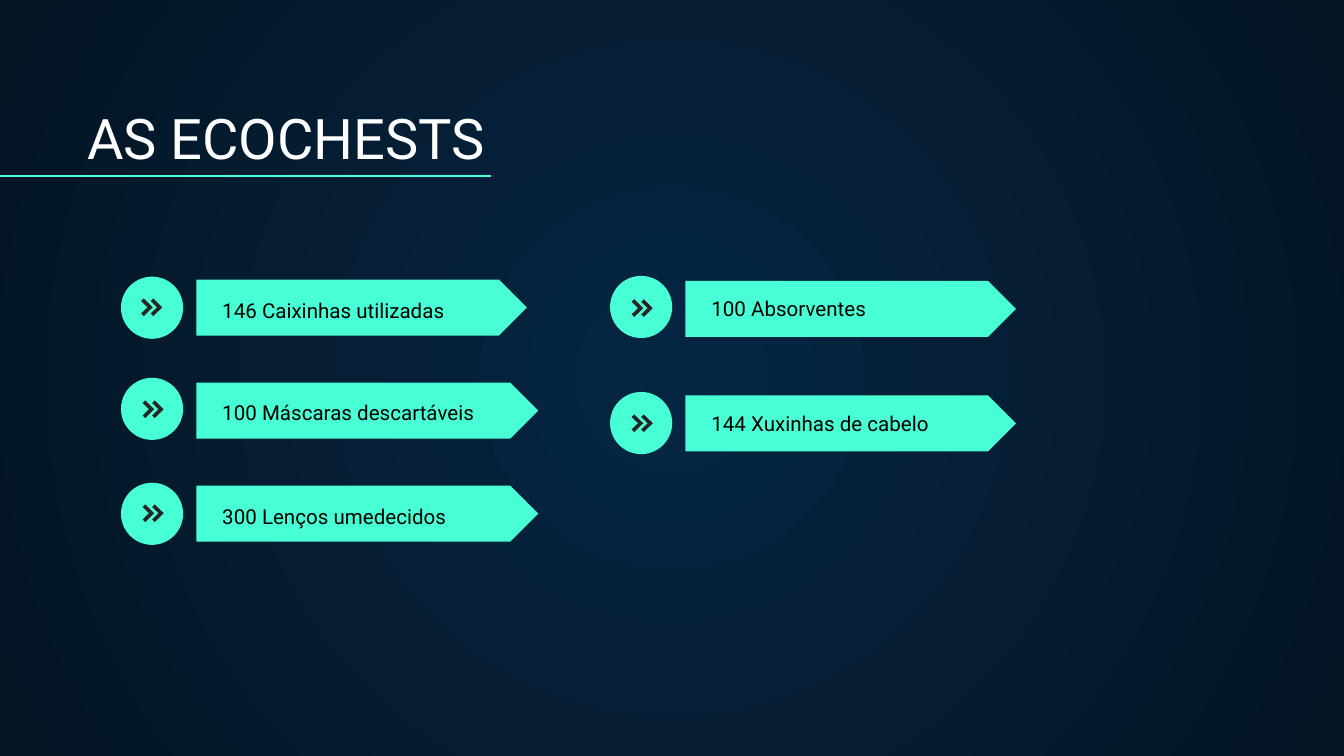
from pptx import Presentation
from pptx.dml.color import RGBColor
from pptx.enum.shapes import MSO_CONNECTOR, MSO_SHAPE
from pptx.enum.text import MSO_ANCHOR
from pptx.oxml import parse_xml
from pptx.oxml.ns import nsdecls, qn
from pptx.util import Pt

# Content: per column its left edge and rows of
# (text, dot top, tag top, tag width, label top, mark inset, mark top)
TITLE = "AS ECOCHESTS"
COLUMNS = [
    (64.8, [
        ("146 Caixinhas utilizadas", 148.2, 149.8, 177.1, 164.2, 10.8, 159.9),
        ("100 Máscaras descartáveis", 202.4, 205, 183.2, 219, 11.6, 214.5),
        ("300 Lenços umedecidos", 258.6, 260.2, 183.2, 275, 11.6, 270.2),
    ]),
    (326.8, [
        ("100 Absorventes", 147.8, 150.5, 177.1, 163.2, 11.6, 160.3),
        ("144 Xuxinhas de cabelo", 210, 211.8, 177.1, 225, 11.6, 222),
    ]),
]
CHEVRON = [(1.4, 0), (0, 1.4), (3.4, 4.75), (0, 8.1), (1.4, 9.5), (6.2, 4.75)]
MARK_STEP = 5.1
DOT, TAG_H = 33.3, 30
TAG_DX, LABEL_DX = 40.4, 47.2

THEME = {
    "mint": RGBColor.from_string("48FFD5"),
    "mark": RGBColor.from_string("262626"),
    "white": RGBColor.from_string("FFFFFF"),
    "black": RGBColor.from_string("000000"),
    "core": RGBColor.from_string("052643"),
    "edge": RGBColor.from_string("041523"),
    "font": "Roboto", "title": 30, "label": 11,
}


def paint(shape, color):
    shape.shadow.inherit = False
    shape.fill.solid()
    shape.fill.fore_color.rgb = THEME[color]
    shape.line.fill.background()


def add_box(kind, x, y, w, h):
    shape = slide.shapes.add_shape(kind, Pt(x), Pt(y), Pt(w), Pt(h))
    paint(shape, "mint")


def add_text(text, x, y, w, h, size, color):
    frame = slide.shapes.add_textbox(Pt(x), Pt(y), Pt(w), Pt(h)).text_frame
    frame.word_wrap = True
    frame.vertical_anchor = MSO_ANCHOR.BOTTOM
    frame.margin_left = frame.margin_right = Pt(7.2)
    frame.margin_top = frame.margin_bottom = Pt(7.2)
    run = frame.paragraphs[0].add_run()
    run.text = text
    run.font.name = THEME["font"]
    run.font.size = Pt(THEME[size])
    run.font.color.rgb = THEME[color]


def add_mark(x, y):
    group = slide.shapes.add_group_shape()
    for left in (x, x + MARK_STEP):
        first, *rest = [(Pt(left + dx), Pt(y + dy)) for dx, dy in CHEVRON]
        pen = group.shapes.build_freeform(*first)
        pen.add_line_segments(rest, close=True)
        paint(pen.convert_to_shape(), "mark")


deck = Presentation()
deck.slide_width, deck.slide_height = Pt(720), Pt(405)
slide = deck.slides.add_slide(deck.slide_layouts[6])

# Radial background
fill = slide.background.fill
fill.gradient()
for stop, pos, name in zip(fill.gradient_stops, (0, 1), ("core", "edge")):
    stop.position = pos
    stop.color.rgb = THEME[name]
lin = next(slide.element.iter(qn("a:lin")))
lin.getparent().replace(lin, parse_xml(
    f'<a:path {nsdecls("a")} path="circle">'
    '<a:fillToRect l="50000" t="50000" r="50000" b="50000"/></a:path>'))

# Title and its rule
add_text(TITLE, 39.6, 51.1, 617, 47.5, "title", "white")
rule = slide.shapes.add_connector(
    MSO_CONNECTOR.STRAIGHT, Pt(0), Pt(94.3), Pt(263), Pt(94.3))
rule.line.color.rgb = THEME["mint"]
rule.line.width = Pt(0.75)
rule._element.spPr.append(parse_xml(f'<a:effectLst {nsdecls("a")}/>'))

# Items: dot with double chevron, tag and label
for x, rows in COLUMNS:
    for text, dot_y, tag_y, tag_w, text_y, mark_dx, mark_y in rows:
        add_box(MSO_SHAPE.OVAL, x, dot_y, DOT, DOT)
        add_mark(x + mark_dx, mark_y)
        add_box(MSO_SHAPE.PENTAGON, x + TAG_DX, tag_y, tag_w, TAG_H)
        add_text(text, x + LABEL_DX, text_y, 163.4, 15.1, "label", "black")

deck.save("out.pptx")
